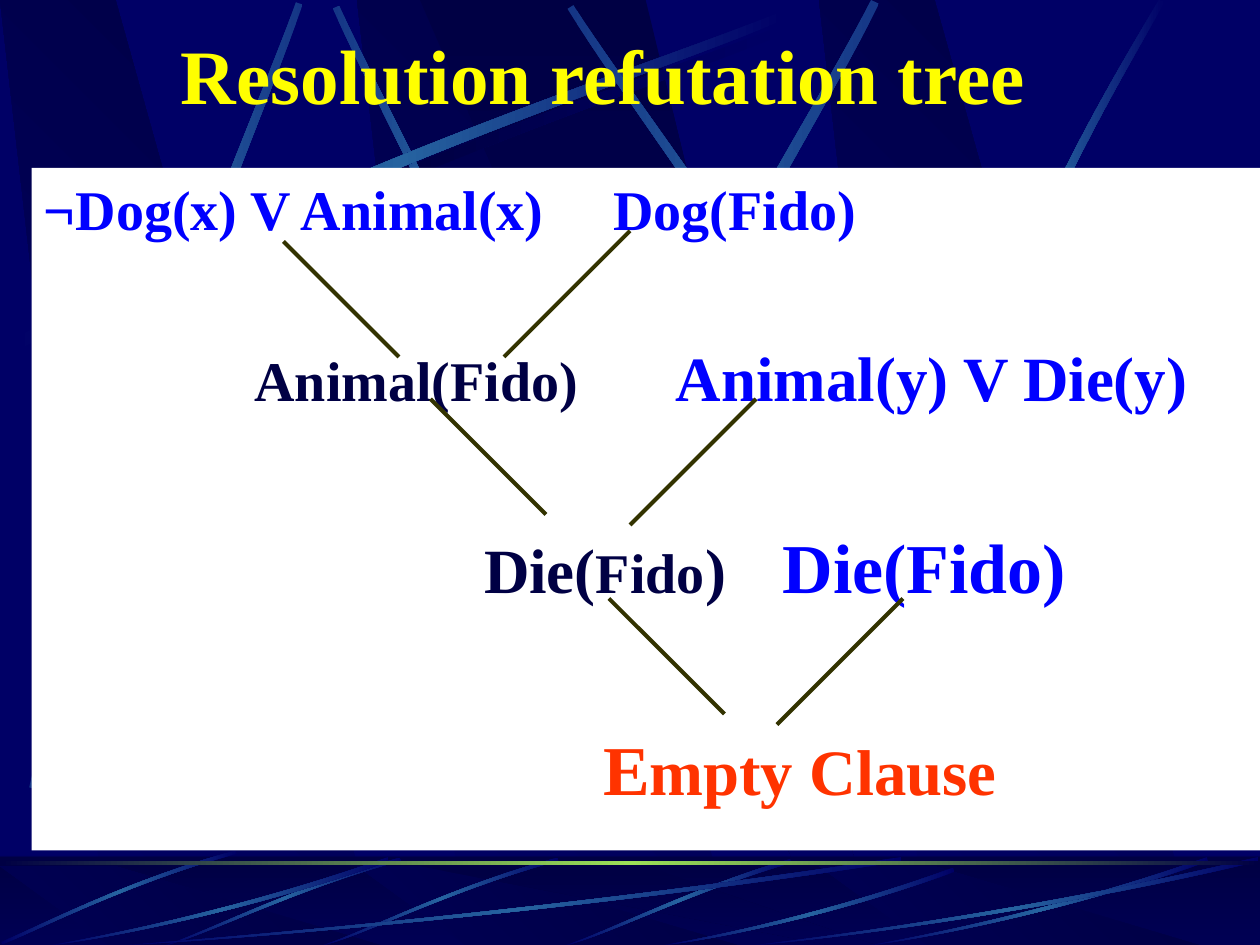
from math import hypot

from lxml.etree import SubElement
from pptx import Presentation
from pptx.dml.color import RGBColor as Color
from pptx.enum.shapes import MSO_CONNECTOR as Connector, MSO_SHAPE as Shape
from pptx.enum.text import MSO_ANCHOR as Anchor, PP_ALIGN as Align
from pptx.oxml.ns import qn
from pptx.util import Pt

THEME = {
    "font": "Times New Roman",
    "navy": "000066", "dark": "000044", "steel": "2663A0", "haze": "153686",
    "lime": "9CE157", "white": "FFFFFF", "yellow": "FFFF00", "blue": "0000FF",
    "red": "FF3300", "olive": "333300",
    "title": 44, "small": 32, "medium": 36, "clause": 37, "large": 40,
}
WIDTH, HEIGHT = 720, 540
PANEL = (18, 96, 702, 390)
INSET = 7.2
ASCENT, DESCENT = 1.01, 0.18

TITLE = "Resolution refutation tree"
ROWS = [
    (132, (), [("¬Dog(x) V Animal(x)", "small", "blue")],
     325.5, [("Dog(Fido)", "small", "blue")]),
    (229.7, (120.3,), [("Animal(Fido)", "small", "dark")],
     361, [("Animal(y) V Die(y)", "medium", "blue")]),
    (338.9, (251.5,), [("Die(", "medium", "dark"), ("Fido", "small", "dark"),
                       (")", "medium", "dark")],
     422.2, [("Die(Fido)", "large", "blue")]),
    (453.7, (319.5,), [("E", "large", "red"), ("mpty Clause", "clause", "red")],
     None, []),
]
LEFT_BRANCHES = [(162, 138), (246, 228), (348, 342)]
RIGHT_BRANCHES = [(360, 132), (432, 228), (516, 342)]
LEFT_DROP, RIGHT_DROP = 66, 72

GLOW = ("navy", "steel", "navy")
SHADE = ("navy", "dark", "navy")
BRIGHT = ("haze", "steel", "haze")
UPPER_STREAKS = [
    ([(15, 202), (194, 102), (379, 46), (452, 15)], (7, 5), SHADE),
    ([(329, 315), (284, 178), (215, 56), (192, 4)], (5, 4), BRIGHT),
    ([(11, 196), (189, 96), (374, 40), (447, 9)], (7, 5), GLOW),
    ([(20, 451), (65, 253), (145, 76), (171, 2)], (7, 4), BRIGHT),
    ([(280, 445), (354, 240), (463, 76), (500, 1)], (8, 5), BRIGHT),
    ([(578, 405), (488, 222), (368, 71), (326, 4)], (7, 4), BRIGHT),
    ([(534, 284), (588, 126), (634, 53), (664, 0)], (5, 4), GLOW),
]
FOOTER_CURVE = [(452, 492), (399, 507), (348, 533), (324, 543)]
FOOTER_ARC = [(319, 491), (259, 507), (207, 534), (185, 543)]
ARC_SHIFTS = [(0, 0), (-90, 0), (-184, -4)]
SWEEPS = [(515, 442, 491), (222, 192, 491), (545, 165, 497),
          (690, 192, 491), (719, 287, 491)]
SWEEP_STEPS = [(0, 0), (0.41, 0.54), (0.83, 0.85), (1, 1)]
BAND_SHIFTS = [204, 0, 468]
BAND = [(62, 1), (217, 1), (66, 0), (0, 0)]
FACET = [(240, 0), (474, 1), (500, 1), (369, 0)]


def color(name):
    return Color.from_string(THEME[name])


def finish(shape):
    shape.line.fill.background()
    shape.shadow.inherit = False
    return shape


def set_gradient(shape, names, angle):
    shape.fill.gradient()
    gradient = shape.element.spPr.find(qn("a:gradFill"))
    for child in list(gradient):
        gradient.remove(child)
    stops = SubElement(gradient, qn("a:gsLst"))
    for index, name in enumerate(names):
        position = 100000 * index // (len(names) - 1)
        stop = SubElement(stops, qn("a:gs"), pos=str(position))
        SubElement(stop, qn("a:srgbClr"), val=THEME[name])
    SubElement(gradient, qn("a:lin"), ang=str(angle * 60000), scaled="0")


def add_outline(slide, points, names, angle):
    spots = [(Pt(x), Pt(y)) for x, y in points]
    builder = slide.shapes.build_freeform(*spots[0])
    builder.add_line_segments(spots[1:], close=False)
    shape = finish(builder.convert_to_shape())
    outline = shape.element.spPr.find(".//" + qn("a:path"))
    set_gradient(shape, names, angle)
    return outline


def add_bar(slide, left, top, width, height):
    return finish(slide.shapes.add_shape(
        Shape.RECTANGLE, Pt(left), Pt(top), Pt(width), Pt(height)))


def add_streak(slide, controls, widths, names):
    (x0, y0), (x1, y1) = controls[0], controls[-1]
    length = hypot(x1 - x0, y1 - y0)
    across, down = (y0 - y1) / length, (x1 - x0) / length
    sides = []
    for sign in (1, -1):
        halves = [sign * (widths[0] + (widths[1] - widths[0]) * i / 3) / 2
                  for i in range(4)]
        sides.append([(x + across * half, min(max(y + down * half, 0), HEIGHT))
                      for (x, y), half in zip(controls, halves)])
    outline = add_outline(slide, sides[0] + sides[1][::-1], names, 0)
    segments = outline.findall(qn("a:lnTo"))
    for group in (segments[:3], segments[4:]):
        curve = SubElement(outline, qn("a:cubicBezTo"))
        group[0].addprevious(curve)
        for segment in group:
            curve.append(segment[0])
            outline.remove(segment)
    SubElement(outline, qn("a:close"))


def add_bands(slide, top):
    def place(points, shift):
        return [(x + shift, top + y * (HEIGHT - top)) for x, y in points]

    for shift in BAND_SHIFTS:
        band = add_outline(slide, place(BAND, shift), ("navy", "dark"), 315)
        SubElement(band, qn("a:close"))
    facet = add_outline(slide, place(FACET, 0), ("dark", "navy"), 90)
    SubElement(facet, qn("a:close"))


def add_backdrop(slide):
    slide.background.fill.solid()
    slide.background.fill.fore_color.rgb = color("navy")
    add_bands(slide, 0)
    for streak in UPPER_STREAKS:
        add_streak(slide, *streak)
    set_gradient(add_bar(slide, 0, 490, WIDTH, 50), ("dark", "navy"), 90)
    add_bands(slide, 495)
    veil = add_bar(slide, 0, 489, WIDTH, 51)
    veil.fill.solid()
    veil.fill.fore_color.rgb = color("dark")
    tint = veil.element.spPr.find(qn("a:solidFill"))[0]
    SubElement(tint, qn("a:alpha"), val="50000")
    add_streak(slide, FOOTER_CURVE, (2.3, 1.5), GLOW)
    for dx, dy in ARC_SHIFTS:
        arc = [(x + dx, y + dy) for x, y in FOOTER_ARC]
        add_streak(slide, arc, (2, 1.5), GLOW)
    for right, span, top in SWEEPS:
        sweep = [(right - span * u, top + (543 - top) * v) for u, v in SWEEP_STEPS]
        add_streak(slide, sweep, (2.5, 1.2), GLOW)
    set_gradient(add_bar(slide, 0, 492.3, WIDTH, 1.8), ("dark", "lime", "dark"), 0)


def add_span(para, text, size, tone):
    span = para.add_run()
    span.text = text
    span.font.name = THEME["font"]
    span.font.size = Pt(THEME[size])
    span.font.bold = True
    span.font.color.rgb = color(tone)


def add_title(slide):
    box = slide.shapes.title
    box.left, box.top, box.width, box.height = Pt(24), Pt(12), Pt(612), Pt(60.5)
    frame = box.text_frame
    frame.margin_left = Pt(79.4)
    frame.vertical_anchor = Anchor.MIDDLE
    frame.paragraphs[0].alignment = Align.LEFT
    add_span(frame.paragraphs[0], TITLE, "title", "yellow")
    slide.shapes.element.append(box.element)


def add_panel(slide):
    panel = add_bar(slide, *PANEL)
    panel.fill.solid()
    panel.fill.fore_color.rgb = color("white")
    frame = panel.text_frame
    frame.word_wrap = True
    frame.vertical_anchor = Anchor.TOP
    frame.margin_left = frame.margin_right = Pt(INSET)
    bottom = PANEL[1]
    for index, (baseline, indent, first, tab, second) in enumerate(ROWS):
        size = max(THEME[span[1]] for span in first + second)
        gap = round(baseline - ASCENT * size - bottom, 1)
        bottom = baseline + DESCENT * size
        para = frame.add_paragraph() if index else frame.paragraphs[0]
        para.alignment = Align.LEFT
        if index:
            para.space_before = Pt(gap)
        else:
            frame.margin_top = Pt(gap)
        stops = SubElement(para._p.get_or_add_pPr(), qn("a:tabLst"))
        for stop in indent + ((tab,) if tab else ()):
            SubElement(stops, qn("a:tab"), pos=str(Pt(stop)), algn="l")
        lead = [("\t", *first[0][1:])] if indent else []
        middle = [("\t", *second[0][1:])] if second else []
        for span in lead + first + middle + second:
            add_span(para, *span)


def add_branch(slide, x, y, dx, dy):
    branch = slide.shapes.add_connector(
        Connector.STRAIGHT, Pt(x), Pt(y), Pt(x + dx), Pt(y + dy))
    branch.line.color.rgb = color("olive")
    branch.line.width = Pt(2.25)
    SubElement(branch.element.spPr, qn("a:effectLst"))


def main():
    deck = Presentation()
    deck.slide_width, deck.slide_height = Pt(WIDTH), Pt(HEIGHT)
    slide = deck.slides.add_slide(deck.slide_layouts[5])
    add_backdrop(slide)
    add_title(slide)
    add_panel(slide)
    for x, y in LEFT_BRANCHES:
        add_branch(slide, x, y, LEFT_DROP, LEFT_DROP)
    for x, y in RIGHT_BRANCHES:
        add_branch(slide, x, y, -RIGHT_DROP, RIGHT_DROP)
    deck.save("out.pptx")


if __name__ == "__main__":
    main()
